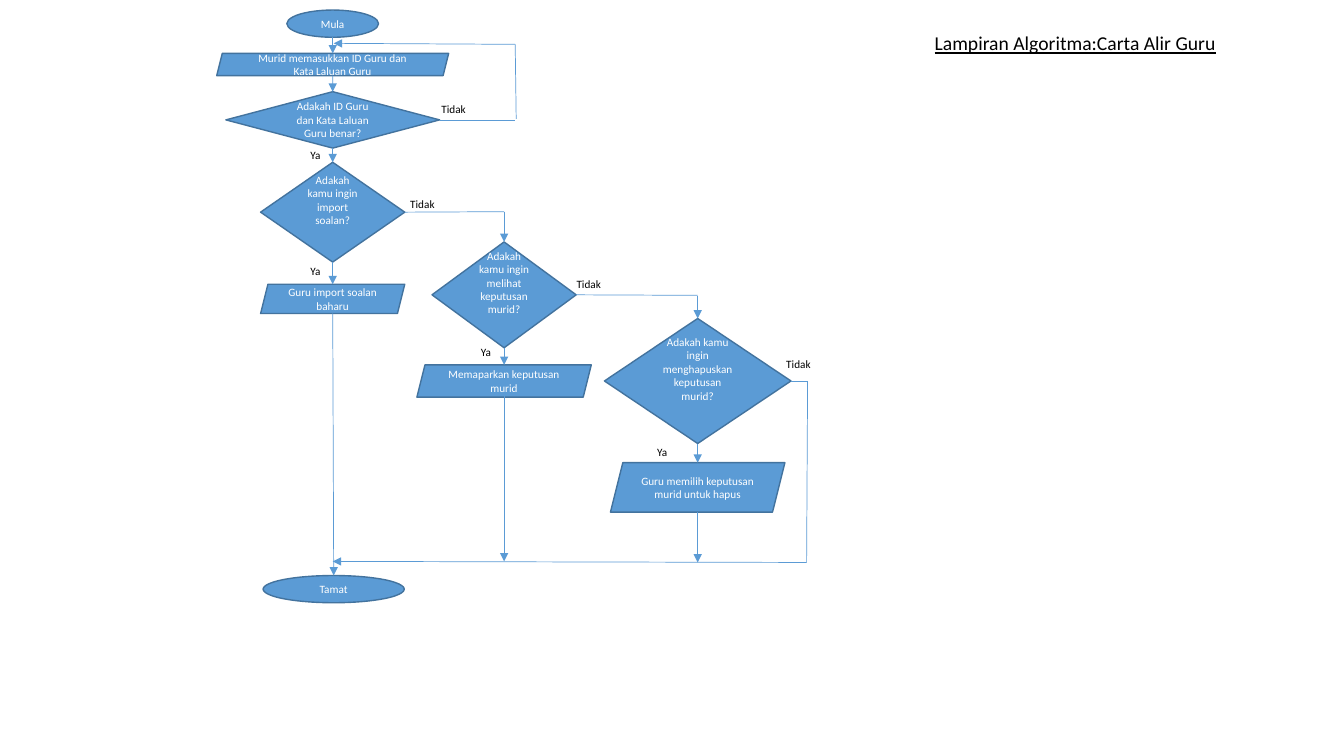
from pptx import Presentation
from pptx.dml.color import RGBColor
from pptx.enum.shapes import MSO_CONNECTOR, MSO_SHAPE
from pptx.enum.text import MSO_ANCHOR, MSO_AUTO_SIZE, PP_ALIGN
from pptx.oxml.ns import qn
from pptx.util import Inches, Pt
from lxml import etree

STRAIGHT = MSO_CONNECTOR.STRAIGHT
OVAL, DIAMOND, DATA = MSO_SHAPE.OVAL, MSO_SHAPE.DIAMOND, MSO_SHAPE.PARALLELOGRAM
MIDDLE, TOP_ANCHOR = MSO_ANCHOR.MIDDLE, MSO_ANCHOR.TOP
GROW, FIXED = MSO_AUTO_SIZE.SHAPE_TO_FIT_TEXT, MSO_AUTO_SIZE.NONE
CENTER, LEFT_ALIGN = PP_ALIGN.CENTER, PP_ALIGN.LEFT
TOP, BOTTOM, RIGHT = 0, 2, 3
COLORS = {"fill": "5B9BD5", "outline": "43739E", "line": "5B9BD5",
          "white": "FFFFFF", "black": "000000"}


def write_text(shape, text, size=8, color="black", align=LEFT_ALIGN,
               anchor=TOP_ANCHOR, auto_size=FIXED, underline=None, bottom=0.05):
    frame = shape.text_frame
    frame.word_wrap = True
    frame.auto_size = auto_size
    frame.vertical_anchor = anchor
    frame.margin_left = frame.margin_right = Inches(0.1)
    frame.margin_top, frame.margin_bottom = Inches(0.05), Inches(bottom)
    paragraph = frame.paragraphs[0]
    paragraph.alignment = align
    run = paragraph.add_run()
    run.text = text
    run.font.name, run.font.size = "Calibri", Pt(size)
    run.font.underline = underline
    run.font.color.rgb = RGBColor.from_string(COLORS[color])


presentation = Presentation()
presentation.slide_width, presentation.slide_height = Inches(13.33), Inches(7.5)
slide = presentation.slides.add_slide(presentation.slide_layouts[5])

# Title
title = slide.shapes.title
title.left, title.top = Inches(9.17), Inches(0.26)
title.width, title.height = Inches(4.07), Inches(0.34)
write_text(title, "Lampiran Algoritma:Carta Alir Guru", size=14, underline=True)

# Steps: name, preset, centre x, top, width, height, bottom inset, text
MAIN, RESULT, DELETE = 3.3, 5.0, 6.92
RAISED = 0.29
steps = [
    ("start", OVAL, MAIN, 0.1, 0.91, 0.27, 0.05, "Mula"),
    ("enter", DATA, MAIN, 0.53, 2.3, 0.22, 0.05,
     "Murid memasukkan ID Guru dan Kata Laluan Guru"),
    ("check", DIAMOND, MAIN, 0.91, 2.12, 0.56, 0.05,
     "Adakah ID Guru dan Kata Laluan Guru benar?"),
    ("import?", DIAMOND, MAIN, 1.61, 1.43, 0.99, RAISED,
     "Adakah kamu ingin import soalan?"),
    ("import", DATA, MAIN, 2.82, 1.43, 0.29, 0.05, "Guru import soalan baharu"),
    ("view?", DIAMOND, RESULT, 2.4, 1.43, 1.05, RAISED,
     "Adakah kamu ingin melihat keputusan murid?"),
    ("view", DATA, RESULT, 3.62, 1.73, 0.32, 0.05, "Memaparkan keputusan murid"),
    ("delete?", DIAMOND, DELETE, 3.16, 1.85, 1.24, RAISED,
     "Adakah kamu ingin menghapuskan keputusan murid?"),
    ("delete", DATA, DELETE, 4.59, 1.73, 0.49, 0.05,
     "Guru memilih keputusan murid untuk hapus"),
    ("end", OVAL, MAIN + 0.01, 5.71, 1.4, 0.27, 0.05, "Tamat"),
]
step_shapes = {}
for name, preset, center, top, width, height, bottom, text in steps:
    shape = slide.shapes.add_shape(preset, Inches(center - width / 2), Inches(top),
                                   Inches(width), Inches(height))
    shape.shadow.inherit = False
    shape.fill.solid()
    shape.fill.fore_color.rgb = RGBColor.from_string(COLORS["fill"])
    shape.line.color.rgb = RGBColor.from_string(COLORS["outline"])
    shape.line.width = Pt(1)
    write_text(shape, text, color="white", align=CENTER, anchor=MIDDLE, bottom=bottom)
    step_shapes[name] = shape

# Flow lines: each end is a point, or a diamond's name and side
MERGE, RETRY, BYPASS = 5.57, 5.11, 8.0
flows = [
    ((MAIN, 0.37), (MAIN, 0.53), True),
    ((MAIN, 0.75), ("check", TOP), True),
    (("check", BOTTOM), ("import?", TOP), True),
    (("import?", BOTTOM), (MAIN, 2.82), True),
    ((MAIN, 3.11), (MAIN + 0.01, 5.71), True),
    # Retry loop
    (("check", RIGHT), (RETRY, 1.19), False),
    ((RETRY + 0.01, 1.18), (RETRY, 0.44), False),
    ((RETRY, 0.44), (MAIN + 0.01, 0.43), True),
    # View results
    (("import?", RIGHT), (RESULT, 2.1), False),
    ((RESULT, 2.1), ("view?", TOP), True),
    (("view?", BOTTOM), (RESULT, 3.62), True),
    ((RESULT, 3.93), (RESULT, MERGE), True),
    # Delete results
    (("view?", RIGHT), (DELETE, 2.93), False),
    ((DELETE, 2.94), ("delete?", TOP), True),
    (("delete?", BOTTOM), (DELETE, 4.59), True),
    ((DELETE, 5.08), (DELETE, MERGE + 0.01), True),
    # Bypass to the end
    (("delete?", RIGHT), (BYPASS, 3.78), False),
    ((BYPASS + 0.01, 3.78), (BYPASS, MERGE + 0.01), False),
    ((BYPASS, MERGE + 0.01), (MAIN, MERGE), True),
]
for start, end, arrow in flows:
    start_joined, end_joined = start[0] in step_shapes, end[0] in step_shapes
    x1, y1 = (0, 0) if start_joined else start
    x2, y2 = (0, 0) if end_joined else end
    connector = slide.shapes.add_connector(STRAIGHT, Inches(x1), Inches(y1),
                                           Inches(x2), Inches(y2))
    if start_joined:
        connector.begin_connect(step_shapes[start[0]], start[1])
    if end_joined:
        connector.end_connect(step_shapes[end[0]], end[1])
    connector.line.color.rgb = RGBColor.from_string(COLORS["line"])
    connector.line.width = Pt(0.5)
    if arrow:
        etree.SubElement(connector.line._get_or_add_ln(), qn("a:tailEnd"), type="triangle")
    etree.SubElement(connector._element.spPr, qn("a:effectLst"))

# Branch labels
labels = [
    ("Tidak", 4.28, 0.97, 0.54), ("Ya", 2.98, 1.42, 0.54),
    ("Tidak", 3.97, 1.91, 0.62), ("Ya", 2.98, 2.57, 0.48),
    ("Tidak", 5.62, 2.7, 0.7), ("Ya", 4.67, 3.38, 0.81),
    ("Tidak", 7.7, 3.5, 0.84), ("Ya", 6.42, 4.37, 0.81),
]
for text, left, top, width in labels:
    label = slide.shapes.add_textbox(Inches(left), Inches(top), Inches(width), Inches(0.24))
    write_text(label, text, auto_size=GROW)

presentation.save("out.pptx")
